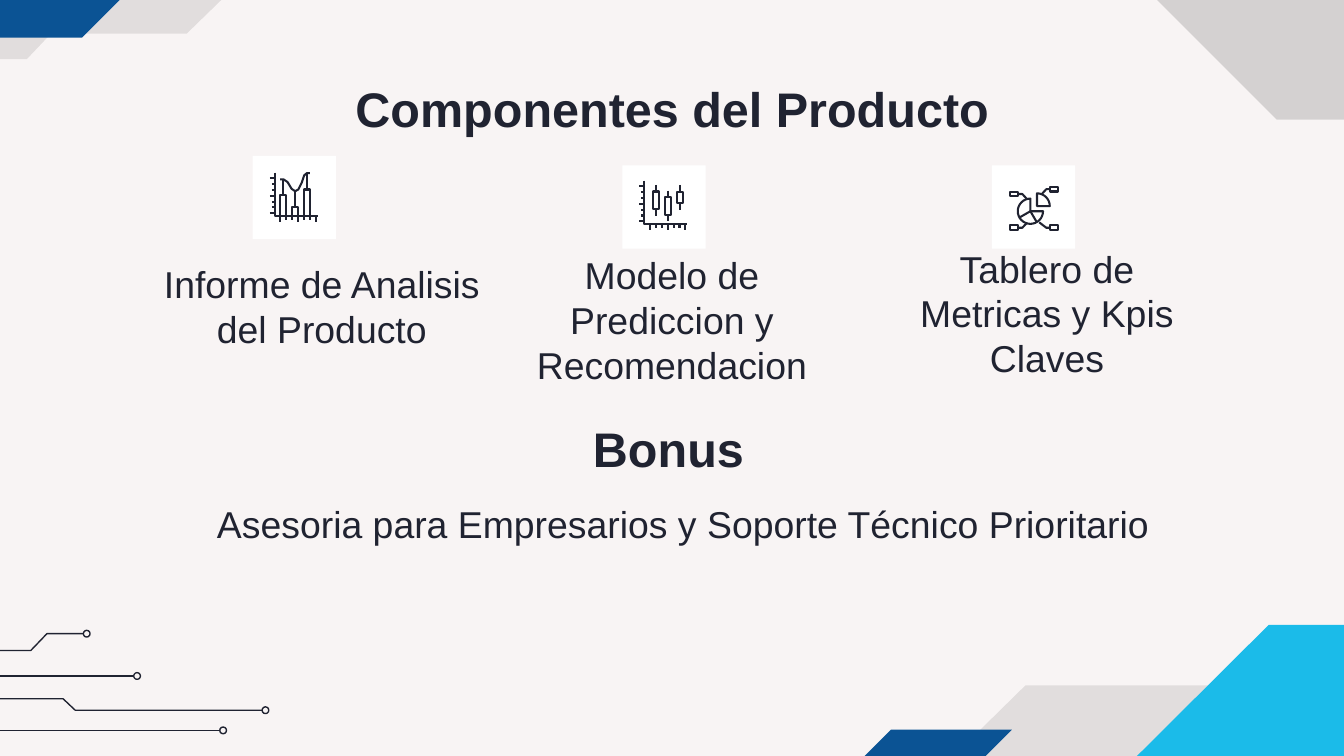
import math

from lxml import etree
from pptx import Presentation
from pptx import util as u
from pptx.dml.color import RGBColor
from pptx.enum import shapes, text
from pptx.oxml.ns import qn

COLORS = {"paper": "F8F4F4", "ink": "202331", "navy": "0B5394",
          "cyan": "1BBBE9", "white": "FFFFFF", "black": "000000"}
RGB = {name: RGBColor.from_string(value) for name, value in COLORS.items()}

prs = Presentation()
prs.slide_width, prs.slide_height = u.Inches(10), u.Inches(5.625)
cell = prs.slide_width / 100
s = prs.slides.add_slide(prs.slide_layouts[5])
s.background.fill.solid()
s.background.fill.fore_color.rgb = RGB["paper"]


def outline(strokes, left=0, top=0, unit=cell, fill=None, weight=0.75):
    pts = [[(left * cell + x * unit, top * cell + y * unit) for x, y in stroke]
           for stroke in strokes]
    fb = s.shapes.build_freeform(*pts[0][0])
    for i, stroke in enumerate(pts):
        if i:
            fb.move_to(*stroke[0])
        fb.add_line_segments(stroke[1:], close=fill is not None)
    sp = fb.convert_to_shape()
    sp.shadow.inherit = False
    if fill:
        sp.fill.solid()
        sp.fill.fore_color.rgb = RGB[fill]
        sp.line.fill.background()
    else:
        sp.fill.background()
        sp.line.color.rgb = RGB["ink"]
        sp.line.width = u.Pt(weight)
    return sp


def write(sp, box, words, size, bold=False, anchor=text.MSO_ANCHOR.TOP):
    sp.left, sp.top, sp.width, sp.height = [round(n * cell) for n in box]
    tf = sp.text_frame
    tf.word_wrap = True
    tf.auto_size = text.MSO_AUTO_SIZE.NONE
    tf.vertical_anchor = anchor
    tf.margin_left = tf.margin_right = tf.margin_top = tf.margin_bottom = round(cell)
    p = tf.paragraphs[0]
    p.alignment = text.PP_ALIGN.CENTER
    r = p.add_run()
    r.text = words
    r.font.name, r.font.size, r.font.bold = "Arial", u.Pt(size), bold
    r.font.color.rgb = RGB["ink"]


bands = [
    ("black", 9, [(119.2, 48), (119.2, 81), (63.3, 81), (63.3, 56.8), (70.4, 56.8),
                  (76.3, 51), (92.7, 51), (95.8, 48)]),
    ("black", 14, [(111.9, 8.9), (111.9, -9.7), (76.4, -9.7), (95, 8.9)]),
    ("black", 9, [(-12.3, 4.4), (-12.3, -15.7), (21.8, -15.7), (21.8, -1), (17.5, -1),
                  (13.9, 2.5), (3.8, 2.5), (2, 4.4)]),
    ("navy", 100, [(-6.5, 2.8), (-3.6, -0.1), (9, -0.1), (6.1, 2.8)]),
    ("navy", 100, [(64.3, 56.3), (66.3, 54.3), (75.3, 54.3), (73.3, 56.3)]),
    ("cyan", 100, [(113, 46.5), (113, 66.9), (73.9, 66.9), (94.4, 46.5)]),
]
for color, opacity, corners in bands:
    sp = outline([corners], fill=color)
    if opacity < 100:
        rgb = next(sp.element.spPr.iter(qn("a:srgbClr")))
        etree.SubElement(rgb, qn("a:alpha")).set("val", str(opacity * 1000))

traces = [
    [(-6.7, 50.3), (9.95, 50.3)],
    [(-10.4, 48.4), (2.3, 48.4), (3.5, 47.15), (6.2, 47.15)],
    [(-13.6, 52), (4.7, 52), (5.6, 52.85), (19.5, 52.85)],
    [(-16.1, 54.35), (16.35, 54.35)],
]
for trace in traces:
    x, y = trace[-1]
    if len(trace) == 2:
        wire = s.shapes.add_connector(shapes.MSO_CONNECTOR.STRAIGHT,
                                      *[round(n * cell) for point in trace for n in point])
        wire.line.color.rgb = RGB["ink"]
        wire.line.width = u.Pt(0.75)
        etree.SubElement(wire.element.spPr, qn("a:effectLst"))
    else:
        outline([trace])
    node = s.shapes.add_shape(shapes.MSO_SHAPE.OVAL, round(x * cell),
                              round((y - 0.25) * cell), round(cell / 2), round(cell / 2))
    node.shadow.inherit = False
    node.fill.background()
    node.line.color.rgb = RGB["ink"]
    node.line.width = u.Pt(0.75)

write(s.shapes.title, (7.9, 4.9, 84.3, 6.3), "Componentes del Producto", 26, True)

for left, top in [(18.8, 11.6), (46.3, 12.3), (73.8, 12.3)]:
    tile = s.shapes.add_shape(shapes.MSO_SHAPE.RECTANGLE, round(left * cell),
                              round(top * cell), round(6.2 * cell), round(6.2 * cell))
    tile.shadow.inherit = False
    tile.fill.solid()
    tile.fill.fore_color.rgb = RGB["white"]
    tile.line.fill.background()

axes = [[(4.5, 0.5), (4.5, 33), (36.5, 33)]]
for i in range(7):
    long_tick = i % 3 == 0
    y, x = 4.4 + 4.4 * i, 8.6 + 4.4 * i
    axes.append([(0.7 if long_tick else 2.3, y), (4.5, y)])
    axes.append([(x, 33), (x, 37 if long_tick else 35.5)])

bars = []
for x, top, stem in [(10.8, 17.4, 5.5), (19.6, 26, 14.3), (28.4, 13, 0.8)]:
    bars.append([(x - 2.3, 33), (x - 2.3, top), (x + 2.3, top), (x + 2.3, 33)])
    bars.append([(x, stem), (x, top)])
trend = [(8.5, 5.5), (11, 5.5), (14, 7.5), (17, 12.5), (19.6, 14.3),
         (22, 13), (24.5, 8), (26.3, 2.5), (28.4, 0.8), (30.5, 0.8)]

candles = []
for x, top, body in [(13.3, 8.5, 12.9), (22, 12.9, 12.9), (30.8, 8.5, 8.7)]:
    end = top + body
    candles.append([[(x - 2.2, top), (x + 2.2, top), (x + 2.2, end), (x - 2.2, end),
                     (x - 2.2, top)], [(x, top - 5), (x, top)], [(x, end), (x, end + 5)]])


arcs = []
for cx, cy, radius, start, sweep in [(20.6, 15.4, 9.5, 270, 90), (15.7, 19.2, 9.4, 0, 270)]:
    rim = [math.radians(start + sweep * i / 24) for i in range(25)]
    arcs.append([(cx, cy)] + [(cx + radius * math.cos(a), cy + radius * math.sin(a))
                              for a in rim] + [(cx, cy)])
wedge = [arcs[0]]
pie = [arcs[1], [(15.7, 19.2), (7.7, 23.8)], [(15.7, 19.2), (20.4, 27.3)]]
for icon, x, y, side, foot in [(wedge, 30.5, 2.8, -1, (24.3, 6.3)),
                               (pie, 6.7, 6.4, 1, (12.8, 9.8)),
                               (pie, 6.7, 31.5, 1, (12.8, 28.2)),
                               (pie, 30.5, 31.5, -1, (22.3, 27.5))]:
    far = x - 6 * side
    icon.append([(x, y - 1.7), (far, y - 1.7), (far, y + 1.7), (x, y + 1.7), (x, y - 1.7)])
    icon.append([(x, y), (x + 3 * side, y), foot])

icons = [(20, 12.8, axes + bars + [trend]), (75.1, 13.8, wedge), (75.1, 13.8, pie),
         (47.5, 13.4, axes)] + [(47.5, 13.4, candle) for candle in candles]
for left, top, strokes in icons:
    outline(strokes, left, top, cell / 10, weight=1.1)

captions = [
    ((10.5, 21.4, 26.9, 5.7), "Informe de Analisis del Producto", 20, False, text.MSO_ANCHOR.BOTTOM),
    ((38.8, 24.1, 22.4, 5.7), "Modelo de Prediccion y Recomendacion", 20, False, text.MSO_ANCHOR.BOTTOM),
    ((66.7, 23.6, 22.4, 5.7), "Tablero de Metricas y Kpis Claves", 20, False, text.MSO_ANCHOR.BOTTOM),
    ((7.6, 30.2, 84.3, 6.3), "Bonus", 26, True, text.MSO_ANCHOR.TOP),
    ((8.7, 36.3, 84.3, 6.3), "Asesoria para Empresarios y Soporte Técnico Prioritario", 20, False,
     text.MSO_ANCHOR.TOP),
]
for box, words, size, bold, anchor in captions:
    write(s.shapes.add_textbox(0, 0, 1, 1), box, words, size, bold, anchor)

prs.save("out.pptx")
